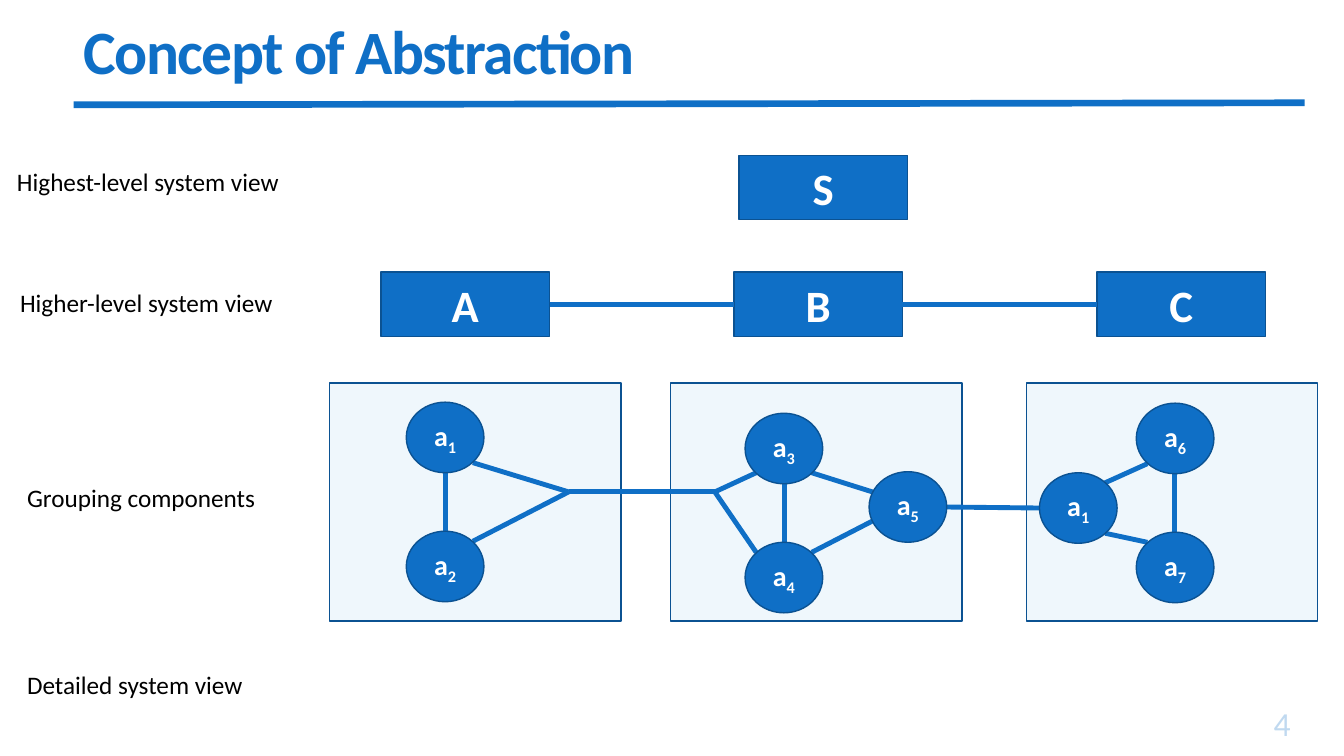
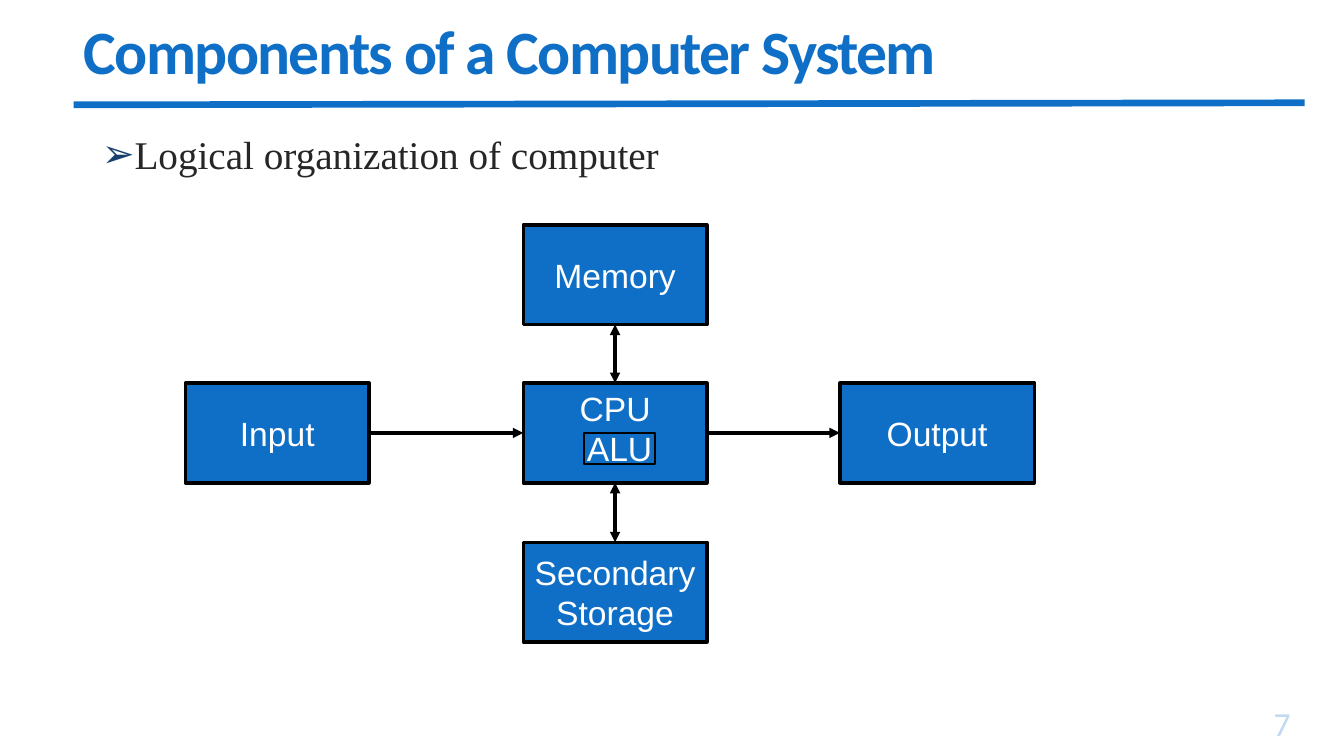
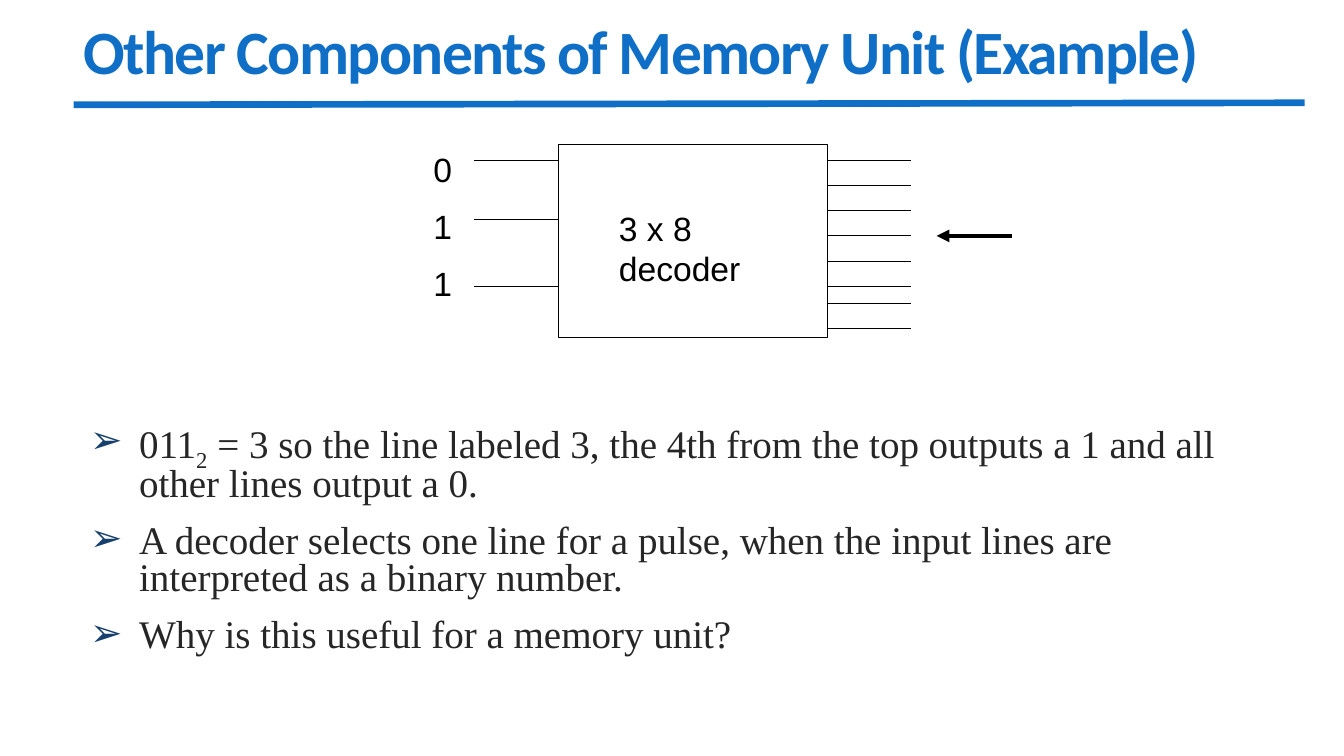
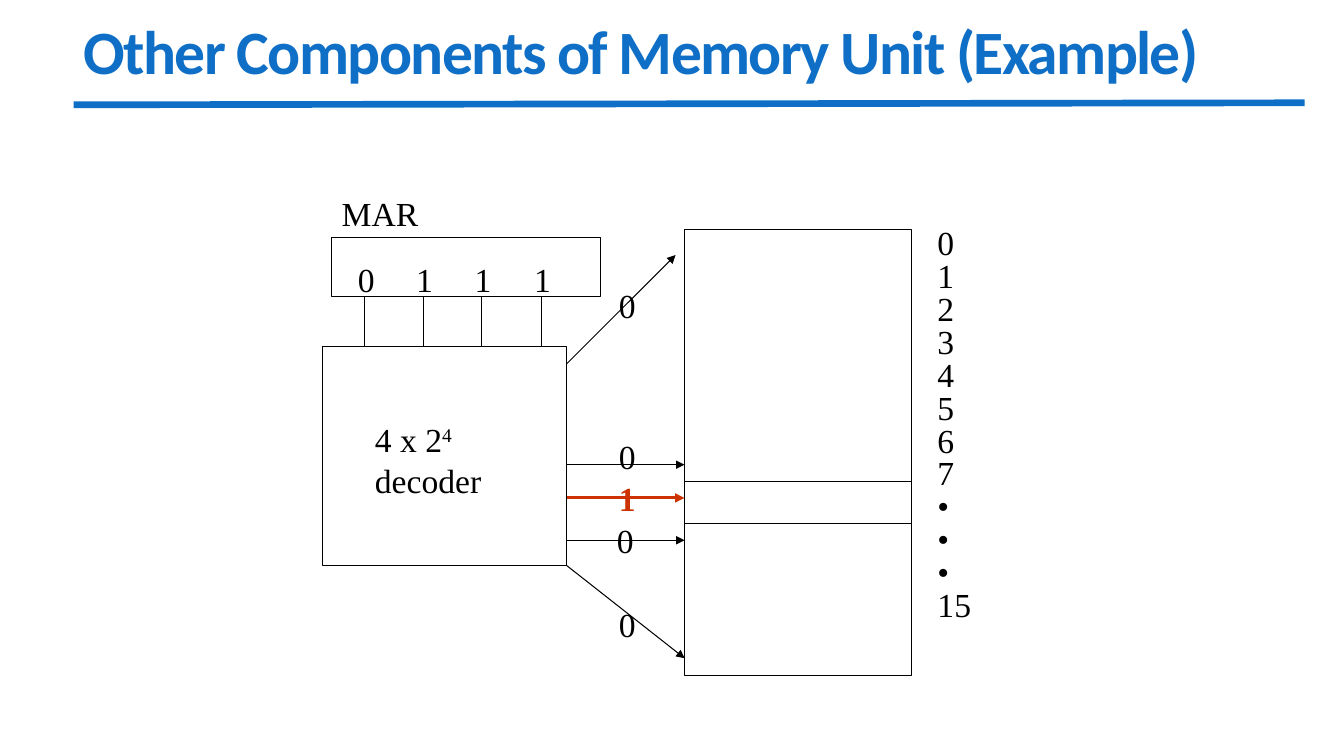
import pptx
import pptx.util
import pptx.dml.color
import pptx.enum.shapes
import pptx.enum.text
import pptx.oxml.ns
import lxml.etree

PX = 9144
RGB = pptx.dml.color.RGBColor
BLUE = RGB(0x0F, 0x6F, 0xC6)
EDGE = RGB(0x0B, 0x52, 0x92)
PALE = RGB(0xDB, 0xEF, 0xF9)
NAVY = RGB(0x17, 0x40, 0x6D)
GREY = RGB(0x26, 0x26, 0x26)
RED = RGB(0xCC, 0x33, 0x00)
BLACK = RGB(0, 0, 0)
WHITE = RGB(255, 255, 255)

RECT = pptx.enum.shapes.MSO_SHAPE.RECTANGLE
OVAL = pptx.enum.shapes.MSO_SHAPE.OVAL
ALIGN = pptx.enum.text.PP_ALIGN
ANCHOR = pptx.enum.text.MSO_ANCHOR
FIXED = pptx.enum.text.MSO_AUTO_SIZE.NONE
Pt = pptx.util.Pt
qn = pptx.oxml.ns.qn
Sub = lxml.etree.SubElement


def put(shapes, kind, at, text, look):
    if hasattr(kind, "text_frame"):
        item = kind
    elif kind:
        item = shapes.add_shape(kind, 0, 0, 0, 0)
        item.shadow.inherit = False
    else:
        item = shapes.add_textbox(0, 0, 0, 0)
    for key, val in zip(("left", "top", "width", "height"), at):
        setattr(item, key, val * PX)
    if "fill" in look:
        item.fill.solid()
        item.fill.fore_color.rgb = look["fill"]
        item.line.color.rgb = look["edge"]
        item.line.width = Pt(look["width"])
    frame = item.text_frame
    setup = {"word_wrap": True, "auto_size": FIXED, **look.get("frame", {})}
    for key, val in setup.items():
        setattr(frame, key, val)
    for n, words in enumerate(text):
        para = frame.add_paragraph() if n else frame.paragraphs[0]
        for key, val in look.get("para", {}).items():
            setattr(para, key, val)
        if "indent" in look:
            props = para._p.get_or_add_pPr()
            props.set("marL", str(look["indent"] * PX))
            props.set("indent", str(-look["indent"] * PX))
            Sub(Sub(props, qn("a:buClr")), qn("a:srgbClr")).set("val", str(NAVY))
            Sub(props, qn("a:buChar")).set("char", "➢")
        for k, piece in enumerate(words.split("|")):
            run = para.add_run()
            run.text = piece
            for key, val in look["font"].items():
                setattr(run.font, key, val)
            run.font.color.rgb = look["ink"]
            marks = {"spc": look.get("track"), "baseline": look.get("shift", -25000) if k % 2 else None}
            for key, val in marks.items():
                if val is not None:
                    run.font._element.set(key, str(val))
    if "fade" in look:
        tint = next(item.element.iter(qn("a:srgbClr")))
        Sub(tint, qn("a:alpha")).set("val", str(look["fade"]))
    return item


def link(shapes, ends, color, width, tips=()):
    item = shapes.add_connector(pptx.enum.shapes.MSO_CONNECTOR.STRAIGHT, *[n * PX for n in ends])
    item.line.color.rgb = color
    item.line.width = Pt(width)
    stroke = item.element.spPr.find(qn("a:ln"))
    for tip in tips:
        Sub(stroke, qn("a:" + tip)).set("type", "triangle")
    Sub(item.element.spPr, qn("a:effectLst"))
    return item


HEAD = {"frame": {"vertical_anchor": ANCHOR.MIDDLE},
        "para": {"alignment": ALIGN.LEFT, "line_spacing": 0.85},
        "font": {"name": "Calibri", "size": Pt(44), "bold": True},
        "ink": BLUE, "track": -120}
FOOT = {"frame": {"vertical_anchor": ANCHOR.BOTTOM}, "para": {"alignment": ALIGN.RIGHT},
        "font": {"name": "Calibri", "size": Pt(24)}, "ink": BLUE, "fade": 25000}
NOTE = {"font": {"name": "Calibri", "size": Pt(18)}, "ink": BLACK}
BLOCK = {"fill": BLUE, "edge": EDGE, "width": 1, "ink": WHITE,
         "frame": {"vertical_anchor": ANCHOR.MIDDLE}, "para": {"alignment": ALIGN.CENTER},
         "font": {"name": "Calibri", "size": Pt(32), "bold": True}}
NODE = {**BLOCK, "font": {**BLOCK["font"], "size": Pt(20)}}
PANEL = {"fill": PALE, "edge": EDGE, "width": 1, "fade": 44000}
PLAIN = {"fill": WHITE, "edge": BLACK, "width": 0.75}
UNIT = {"fill": BLUE, "edge": BLACK, "width": 2.5, "ink": WHITE,
        "frame": {"vertical_anchor": ANCHOR.MIDDLE, "word_wrap": False},
        "para": {"alignment": ALIGN.CENTER}, "font": {"name": "Arial", "size": Pt(24)}}
LIST = {"frame": {"vertical_anchor": ANCHOR.TOP}, "para": {"space_before": Pt(8)},
        "font": {"name": "Times New Roman", "size": Pt(28)}, "ink": GREY, "indent": 32}
TIGHT = {**LIST, "para": {"space_before": Pt(14), "line_spacing": 0.8},
         "font": {"name": "Times New Roman", "size": Pt(27.9)}, "indent": 49}
SANS = {"para": {"space_before": Pt(12)}, "font": {"name": "Arial", "size": Pt(24)}, "ink": BLACK}
SERIF = {**SANS, "font": {"name": "Times New Roman", "size": Pt(24)}, "shift": 30000}
HOT = {**SERIF, "font": {**SERIF["font"], "bold": True}, "ink": RED}
STACK = {**SERIF, "para": {"space_before": Pt(12), "line_spacing": 0.4}}

deck = pptx.Presentation()
deck.slide_width, deck.slide_height = 1333 * PX, 750 * PX

pages = []
for title, layout, number in [
    ("Concept of Abstraction", 5, "4"),
    ("Components of a Computer System", 1, "7"),
    ("Other Components of Memory Unit (Example)", 1, ""),
    ("Other Components of Memory Unit (Example)", 5, ""),
]:
    page = deck.slides.add_slide(deck.slide_layouts[layout])
    put(page.shapes, page.shapes.title, (73, 8, 1178, 94), [title], HEAD)
    if number:
        put(page.shapes, None, (1160, 700, 130, 42), [number], FOOT)
    pages.append(page)

rule = link(pages[0].shapes, (73, 104, 1294, 102), BLUE, 4.75)
deck.slide_master.shapes.element.insert(2, rule.element)

shapes = pages[0].shapes
put(shapes, RECT, (733, 154, 167, 64), ["S"], BLOCK)
row = [put(shapes, RECT, (x, 270, 167, 64), [name], BLOCK)
       for x, name in [(378, "A"), (728, "B"), (1088, "C")]]
for left, right in zip(row, row[1:]):
    wire = link(shapes, (0, 0, 0, 0), BLUE, 3.5)
    wire.begin_connect(left, 3)
    wire.end_connect(right, 1)
for x in (327, 665, 1018):
    put(shapes, RECT, (x, 380, 289, 236), [], PANEL)
for ends in [
    (442, 469, 442, 527), (469, 459, 564, 488), (469, 537, 564, 488),
    (778, 479, 778, 538), (805, 469, 900, 499), (805, 548, 900, 499),
    (1165, 470, 1165, 528), (1138, 460, 1096, 479), (1138, 538, 1096, 529),
    (750, 469, 709, 488), (709, 488, 564, 488), (750, 548, 709, 488),
    (1031, 504, 939, 503),
]:
    link(shapes, ends, BLUE, 3.5)
for x, y, sub in [(403, 399, 1), (403, 527, 2), (739, 410, 3), (739, 538, 4),
                  (862, 468, 5), (1127, 400, 6), (1127, 528, 7), (1031, 469, 1)]:
    put(shapes, OVAL, (x, y, 77, 70), [f"a|{sub}"], NODE)
for x, y, label in [(7, 160, "Highest-level system view"), (10, 280, "Higher-level system view"),
                    (17, 474, "Grouping components"), (17, 659, "Detailed system view")]:
    put(shapes, None, (x, y, 302, 40), [label], NOTE)

shapes = pages[1].shapes
put(shapes, pages[1].placeholders[1], (91, 124, 601, 77), ["Logical organization of computer"], LIST)
units = {}
for x, y, wide, text in [
    (519, 380, 182, ["CPU"]), (184, 380, 182, ["Input"]), (833, 380, 193, ["Output"]),
    (519, 223, 182, ["Memory"]), (519, 538, 182, ["Secondary", "Storage"]),
]:
    anchor = ANCHOR.TOP if text == ["CPU"] else ANCHOR.MIDDLE
    look = {**UNIT, "frame": {**UNIT["frame"], "vertical_anchor": anchor}}
    units[text[0]] = put(shapes, RECT, (x, y, wide, 99), text, look)
put(shapes, RECT, (579, 430, 71, 30), ["ALU"], {**UNIT, "width": 1.5})
for start, out, end, into, tips in [
    ("Input", 3, "CPU", 1, ["tailEnd"]), ("CPU", 3, "Output", 1, ["tailEnd"]),
    ("Memory", 2, "CPU", 0, ["headEnd", "tailEnd"]),
    ("CPU", 2, "Secondary", 0, ["headEnd", "tailEnd"]),
]:
    wire = link(shapes, (0, 0, 0, 0), BLACK, 2.5, tips)
    wire.begin_connect(units[start], out)
    wire.end_connect(units[end], into)

shapes = pages[2].shapes
put(shapes, pages[2].placeholders[1], (79, 416, 1176, 261), [
    "011|2| = 3 so the line labeled 3, the 4th from the top outputs a 1 and all other lines output a 0.",
    "A decoder selects one line for a pulse, when the input lines are interpreted as a binary number.",
    "Why is this useful for a memory unit?",
], TIGHT)
put(shapes, RECT, (554, 143, 267, 192), [], PLAIN)
for x, rows in [(470, (159, 218, 284)), (820, (*range(159, 285, 25), 301, 326))]:
    for y in rows:
        link(shapes, (x, y, x + 84, y), BLACK, 0.75)
put(shapes, None, (420, 143, 50, 170), ["0", "1", "1"], SANS)
link(shapes, (1004, 234, 929, 234), BLACK, 3, ["tailEnd"])
put(shapes, None, (604, 201, 175, 90), ["3 x 8 decoder"], SANS)

shapes = pages[3].shapes
put(shapes, RECT, (679, 228, 225, 442), [], PLAIN)
put(shapes, None, (920, 236, 83, 424), [*"01234567•••", "15"], STACK)
for y in (478, 519):
    link(shapes, (679, y, 904, y), BLACK, 0.75)
put(shapes, RECT, (329, 236, 267, 58), [], PLAIN)
for n, bit in enumerate("0111"):
    x = 362 + n * 175 // 3
    link(shapes, (x, 294, x, 353), BLACK, 0.75, ["tailEnd"])
    put(shapes, None, (x - 17, 252, 42, 50), [bit], SERIF)
put(shapes, RECT, (320, 344, 242, 217), [], PLAIN)
put(shapes, None, (362, 411, 175, 90), ["4 x 2|4| decoder"], SERIF)
put(shapes, None, (329, 186, 108, 50), ["MAR"], SERIF)
for ends, x, y, bit in [
    ((562, 361, 670, 253), 604, 278, "0"), ((562, 461, 679, 461), 604, 428, "0"),
    ((562, 494, 679, 494), 604, 469, "1"), ((562, 536, 679, 536), 602, 511, "0"),
    ((562, 561, 679, 653), 604, 594, "0"),
]:
    hot = bit == "1"
    link(shapes, ends, RED if hot else BLACK, 2.25 if hot else 0.75, ["tailEnd"])
    put(shapes, None, (x, y, 42, 50), [bit], HOT if hot else SERIF)

deck.save("out.pptx")
